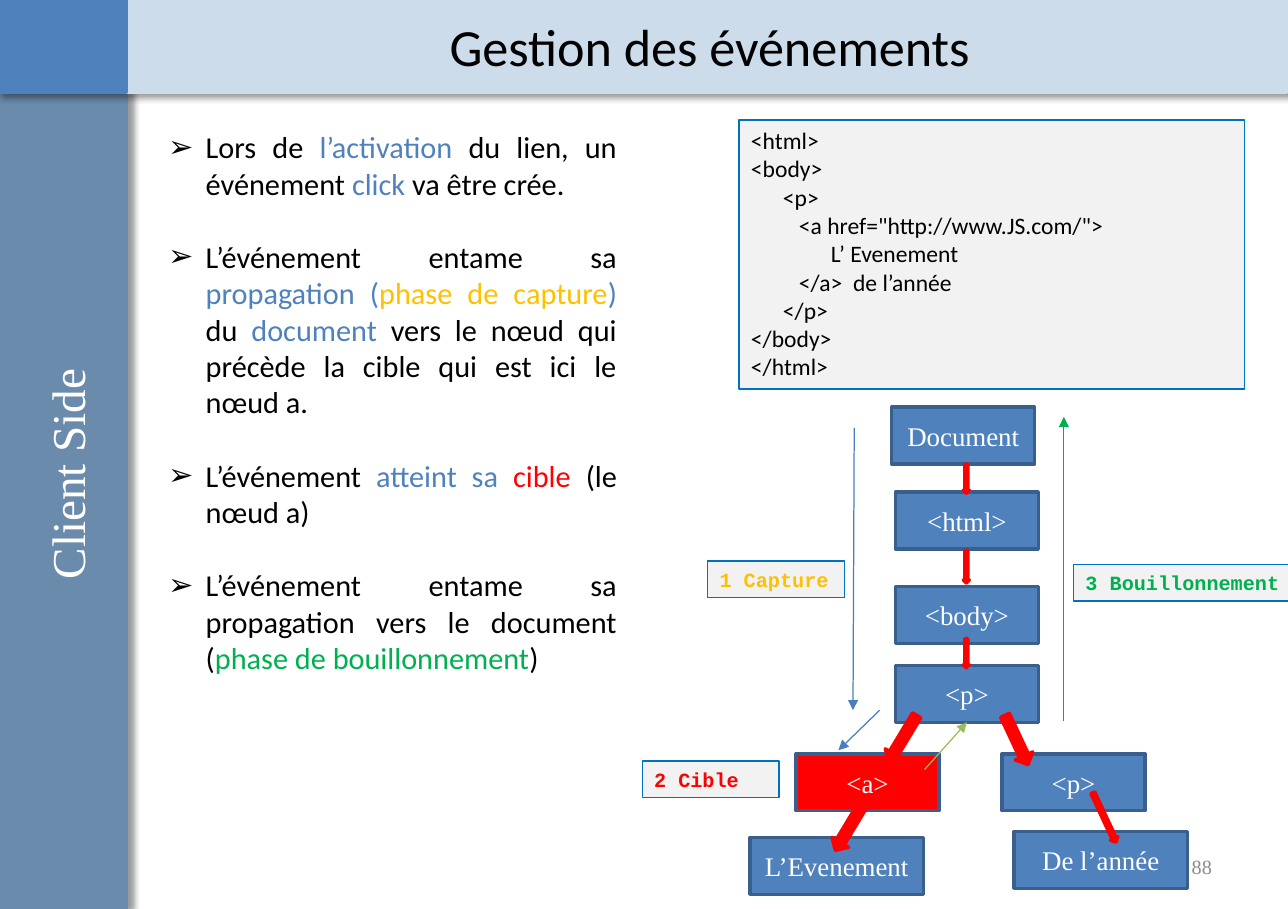
from lxml.etree import SubElement
from pptx import Presentation
from pptx.dml.color import RGBColor
from pptx.enum.shapes import MSO_CONNECTOR as CONN, MSO_SHAPE as SHAPE
from pptx.enum.text import MSO_ANCHOR as ANCHOR, PP_ALIGN as ALIGN
from pptx.oxml.ns import qn
from pptx.util import Inches, Pt

COLS, ROWS = 106.3, 75
BLUE, RED, GREEN, AMBER = "4F81BD", "FF0000", "00B050", "FFC000"
BLACK, WHITE, PALE = "000000", "FFFFFF", "F2F2F2"
SANS, SERIF, MONO = "Calibri", "Times New Roman", "Courier New"


def rgb(value):
    return RGBColor.from_string(value)


def write(p, text, font=SANS, size=18, color=BLACK, bold=False):
    r = p.add_run()
    r.text = text
    r.font.name, r.font.size, r.font.bold = font, Pt(size), bold
    r.font.color.rgb = rgb(color)
    return r


class SlideBuilder:
    """Draws styled elements on one slide, on a grid of tenth-inch columns and rows."""

    def __init__(self, prs):
        self.slide = prs.slides.add_slide(prs.slide_layouts[6])
        self.shapes = self.slide.shapes
        self.col = prs.slide_width / COLS
        self.row = prs.slide_height / ROWS

    def place(self, x, y, w, h):
        return [round(v * u) for v, u in zip((x, y, w, h), (self.col, self.row) * 2)]

    def shape(self, at, fill, line, width=2, kind=SHAPE.RECTANGLE, turn=0):
        sp = self.shapes.add_shape(kind, *self.place(*at))
        sp.shadow.inherit = False
        sp.fill.solid()
        sp.fill.fore_color.rgb = rgb(fill)
        sp.line.color.rgb = rgb(line)
        sp.line.width = Pt(width)
        sp.rotation = turn
        return sp

    def band(self, at, color, angle=None):
        sp = self.shape(at, color, color)
        if angle is not None:
            effects = sp._element.spPr.find(qn("a:effectLst"))
            shadow = SubElement(effects, qn("a:outerShdw"), blurRad=str(Pt(4)),
                                dist=str(Pt(3)), dir=str(angle * 60000), rotWithShape="0")
            tint = SubElement(shadow, qn("a:srgbClr"), val=BLACK)
            SubElement(tint, qn("a:alpha"), val="40000")

    def fill_text(self, sp, lines, align, anchor, **fmt):
        tf = sp.text_frame
        tf.word_wrap, tf.vertical_anchor = True, anchor
        for i, line in enumerate(lines):
            p = tf.add_paragraph() if i else tf.paragraphs[0]
            p.alignment = align
            write(p, line, **fmt)
        return sp

    def text(self, at, text, align=ALIGN.CENTER, anchor=ANCHOR.MIDDLE, turn=0, **fmt):
        sp = self.shapes.add_textbox(*self.place(*at))
        sp.rotation = turn
        return self.fill_text(sp, [text], align, anchor, **fmt)

    def node(self, x, y, text, w=11.8, fill=BLUE):
        sp = self.shape((x, y, w, 4.7), fill, "3A5F8C")
        return self.fill_text(sp, [text], ALIGN.CENTER, ANCHOR.MIDDLE,
                              font=SERIF, size=16, color=WHITE)

    def panel(self, at, lines, **fmt):
        sp = self.shape(at, PALE, "0070C0", 0.75)
        return self.fill_text(sp, lines, ALIGN.LEFT, ANCHOR.TOP, **fmt)

    def bullets(self, at, items, gap):
        tf = self.shapes.add_textbox(*self.place(*at)).text_frame
        tf.word_wrap = True
        for i, item in enumerate(items):
            p = tf.add_paragraph() if i else tf.paragraphs[0]
            pPr = p._p.get_or_add_pPr()
            indent = Inches(0.31)
            pPr.set("marL", str(indent))
            pPr.set("indent", str(-indent))
            SubElement(pPr, qn("a:buFont"), typeface="Arial")
            SubElement(pPr, qn("a:buChar"), char="➢")
            p.alignment = ALIGN.JUSTIFY
            if i:
                p.space_before = Pt(gap)
            for text, color in item:
                write(p, text, color=color)

    def arrow(self, x1, y1, x2, y2, color, target=None, side=0):
        cx = self.shapes.add_connector(CONN.STRAIGHT, *self.place(x1, y1, x2, y2))
        if target is not None:
            cx.end_connect(target, side)
        cx.line.color.rgb = rgb(color)
        cx.line.width = Pt(0.75)
        SubElement(cx.line._get_or_add_ln(), qn("a:tailEnd"), type="triangle")
        SubElement(cx._element.spPr, qn("a:effectLst"))

    def block_arrow(self, at, fill=RED, turn=0):
        self.shape(at, fill, RED, kind=SHAPE.DOWN_ARROW, turn=turn)


def draw_frame(s):
    s.band((-0.1, 7.6, 10.5, 67.4), "6A8BAB", angle=0)
    s.band((-0.1, 0, COLS, 7.6), "CCDCEA", angle=45)
    s.band((-0.1, 0, 10.5, 7.6), BLUE)
    s.text((12.1, 0.6, 92.9, 6.3), "Gestion des événements", size=31)
    s.text((76.2, 69.5, 24.8, 4), "88", ALIGN.RIGHT, font=SERIF, size=12, color="8C8C8C")
    s.text((-14.8, 36.1, 40.9, 6), "Client Side", anchor=ANCHOR.TOP, turn=270,
           font=SERIF, size=28, color=WHITE)


def draw_explanation(s):
    s.bullets((12.9, 10.1, 39, 52.5), [
        [("Lors de ", BLACK), ("l’activation ", BLUE), ("du lien, un événement ", BLACK),
         ("click ", BLUE), ("va être crée.", BLACK)],
        [("L’événement entame sa ", BLACK), ("propagation (", BLUE),
         ("phase de capture", AMBER), (") ", BLUE), ("du ", BLACK), ("document ", BLUE),
         ("vers le nœud qui précède la cible qui est ici le nœud a.", BLACK)],
        [("L’événement ", BLACK), ("atteint sa ", BLUE), ("cible ", RED),
         ("(le nœud a)", BLACK)],
        [("L’événement entame sa propagation vers le document (", BLACK),
         ("phase de bouillonnement", GREEN), (")", BLACK)],
    ], gap=22)
    s.panel((61, 9.9, 41.7, 22.2), [
        "<html>",
        "<body>",
        "      <p>",
        '         <a href="http://www.JS.com/">',
        "               L’ Evenement",
        "         </a>  de l’année",
        "      </p>",
        "</body>",
        "</html>",
    ], size=14)


def draw_tree(s):
    s.node(73.6, 33.6, "Document")
    for y, tag in ((40.6, "<html>"), (48.4, "<body>")):
        s.node(73.9, y, tag)
    parent = s.node(73.9, 54.9, "<p>")
    s.node(65.7, 62.2, "<a>", fill=RED)
    s.node(82.7, 62.2, "<p>")
    s.node(61.9, 69.1, "L’Evenement", w=14.3)
    s.node(83.7, 68.6, "De l’année", w=14.3)

    for y, h in ((38.3, 2.4), (45.4, 2.7), (52.7, 2.4)):
        s.block_arrow((79.5, y, 0.5, h), BLUE)
    for x, y, w, turn in ((73.7, 58.7, 1.6, 31), (69.3, 66, 1.6, 31),
                          (83.1, 58.8, 1.6, 335), (90.8, 65.2, 0.7, 335)):
        s.block_arrow((x, y, w, 4.5), turn=turn)

    s.arrow(70.5, 35.3, 70.4, 58.6, "4B7EBC")
    s.arrow(87.8, 59.5, 87.8, 34.4, GREEN)
    s.arrow(72.6, 58.6, 69.2, 61.9, "4B7EBC")
    s.arrow(76.3, 63.5, 79.8, 59.6, "9BBB59", target=parent, side=2)

    for x, y, w, text, color in ((58.4, 46.3, 11.3, "1 Capture", AMBER),
                                 (88.6, 46.6, 18.1, "3 Bouillonnement", GREEN),
                                 (53, 62.8, 11.3, "2 Cible", RED)):
        s.panel((x, y, w, 3), [text], font=MONO, size=12, color=color, bold=True)


def main():
    prs = Presentation()
    prs.slide_width, prs.slide_height = Inches(COLS / 10), Inches(ROWS / 10)
    s = SlideBuilder(prs)
    draw_frame(s)
    draw_explanation(s)
    draw_tree(s)
    prs.save("out.pptx")


if __name__ == "__main__":
    main()
